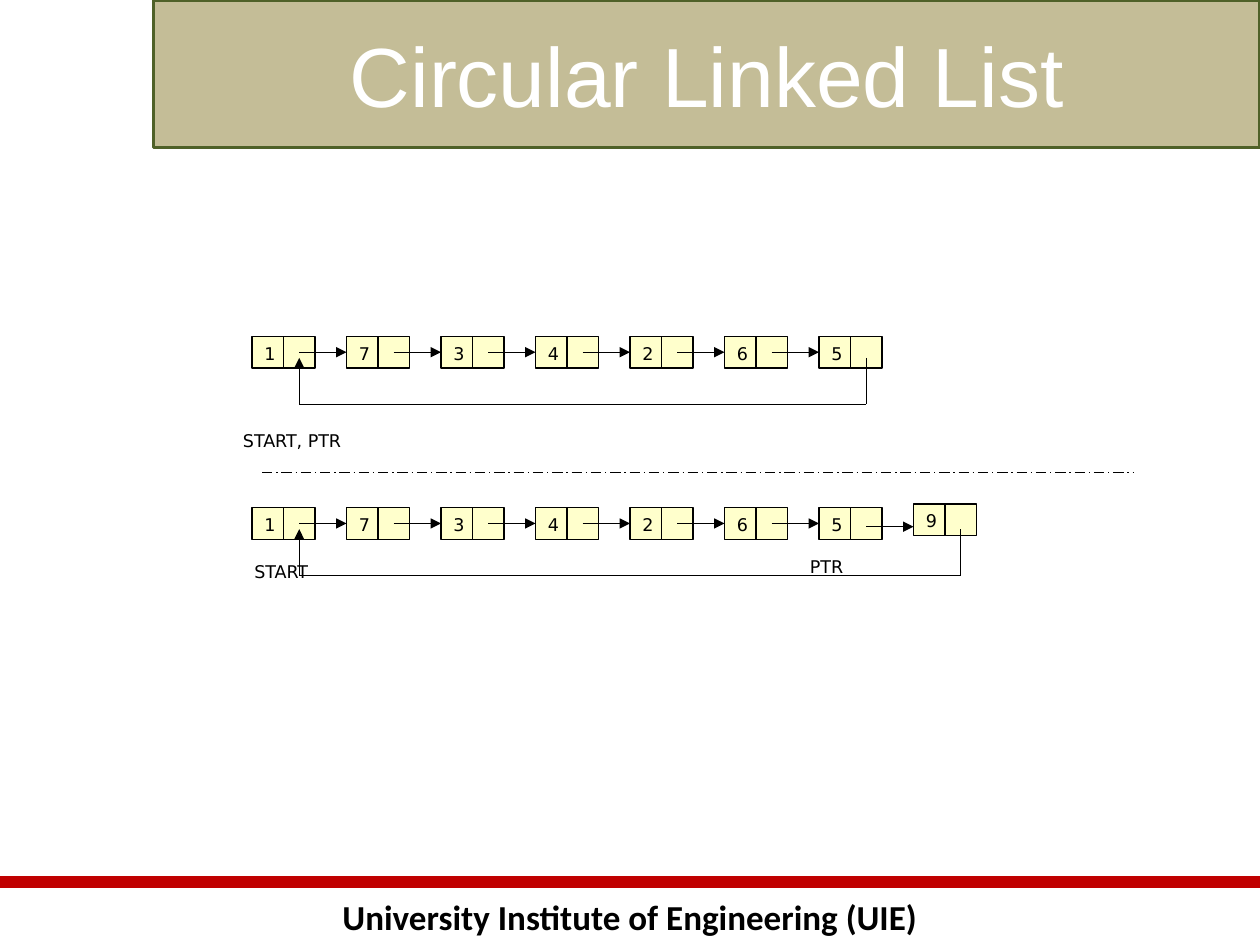
from lxml import etree
from pptx import Presentation
from pptx.dml.color import RGBColor
from pptx.enum.dml import MSO_LINE
from pptx.enum.shapes import MSO_CONNECTOR, MSO_SHAPE
from pptx.enum.text import MSO_ANCHOR, PP_ALIGN
from pptx.oxml.ns import qn
from pptx.util import Inches, Pt

STRAIGHT = MSO_CONNECTOR.STRAIGHT
RECTANGLE, ROUNDED = MSO_SHAPE.RECTANGLE, MSO_SHAPE.ROUNDED_RECTANGLE
TOP, MIDDLE = MSO_ANCHOR.TOP, MSO_ANCHOR.MIDDLE
LEFT, CENTER = PP_ALIGN.LEFT, PP_ALIGN.CENTER
LONG_DASH_DOT = MSO_LINE.LONG_DASH_DOT

BLACK = RGBColor(0x00, 0x00, 0x00)
WHITE = RGBColor(0xFF, 0xFF, 0xFF)
RED = RGBColor(0xC0, 0x00, 0x00)
TAN = RGBColor(0xC4, 0xBD, 0x97)
OLIVE = RGBColor(0x4F, 0x61, 0x28)
CREAM = RGBColor(0xFF, 0xFF, 0xCC)
LABEL_FONT = "DejaVu Sans"

# Content (lengths in inches)
TITLE = "Circular Linked List"
FOOTER = "University Institute of Engineering (UIE)"
NODES = ["1", "7", "3", "4", "2", "6", "5"]
LISTS = [  # top of the row, nodes, inserted nodes
    (2.67, NODES, []),
    (4.03, NODES, ["9"]),
]
LABELS = [  # text, left, top, width, height, size of trailing space
    ("START, PTR", 1.83, 3.25, 1.11, 0.4, 18),
    ("START", 1.92, 4.4, 0.66, 0.27, None),
    ("PTR", 6.33, 4.25, 0.55, 0.4, 18),
]

# Node geometry
CELL = 0.25
FIRST_LEFT = 2
PITCH = 3 * CELL
POINTER_X = 1.5 * CELL  # from node left to the middle of its pointer cell
INSERT_RISE = 0.03      # inserted nodes sit slightly above the row
RETURN_TOP, RETURN_BOTTOM = 0.17, 0.54  # return path, below the row top


def write(shape, text, size, font, color=BLACK, align=LEFT, anchor=TOP, bold=False):
    frame = shape.text_frame
    frame.word_wrap = True
    frame.vertical_anchor = anchor
    paragraph = frame.paragraphs[0]
    paragraph.alignment = align
    paragraph.font.size = Pt(size)
    paragraph.font.name = font
    paragraph.font.color.rgb = color
    paragraph.font.bold = bold
    paragraph.add_run().text = text
    return paragraph


def add_box(shapes, kind, left, top, width, height, fill, line, line_width):
    box = shapes.add_shape(kind, Inches(left), Inches(top), Inches(width), Inches(height))
    box.shadow.inherit = False
    box.fill.solid()
    box.fill.fore_color.rgb = fill
    box.line.color.rgb = line
    box.line.width = Pt(line_width)
    return box


def add_line(shapes, x1, y1, x2, y2, arrow=False, color=BLACK, width=0.75):
    line = shapes.add_connector(STRAIGHT, Inches(x1), Inches(y1), Inches(x2), Inches(y2))
    line.line.color.rgb = color
    line.line.width = Pt(width)
    properties = line._element.spPr
    if arrow:
        etree.SubElement(properties.find(qn("a:ln")), qn("a:tailEnd"), type="triangle")
    etree.SubElement(properties, qn("a:effectLst"))
    return line


def add_node(shapes, value, left, top):
    value_cell, _ = [
        add_box(shapes, RECTANGLE, x, top, CELL, CELL, CREAM, BLACK, 0.75)
        for x in (left, left + CELL)
    ]
    write(value_cell, value, 10, LABEL_FONT)
    return value_cell


def add_list(shapes, top, nodes, inserted):
    for i, value in enumerate(nodes):
        left = FIRST_LEFT + i * PITCH
        value_cell = add_node(shapes, value, left, top)
        if i:
            y = top + CELL / 2
            link = add_line(shapes, left - PITCH + POINTER_X, y, left, y, arrow=True)
            link.end_connect(value_cell, 1)
    for i, value in enumerate(inserted, len(nodes)):
        left = FIRST_LEFT + i * PITCH
        add_node(shapes, value, left, top - INSERT_RISE)
        y = top + 0.15
        add_line(shapes, left - PITCH + POINTER_X, y, left, y, arrow=True)

    # Return path from the last node to the first
    first_x = FIRST_LEFT + POINTER_X
    last_x = first_x + (len(nodes) + len(inserted) - 1) * PITCH
    upper, lower = top + RETURN_TOP, top + RETURN_BOTTOM
    add_line(shapes, last_x, upper, last_x, lower)
    add_line(shapes, last_x, lower, first_x, lower)
    add_line(shapes, first_x, lower, first_x, upper, arrow=True)


def main():
    prs = Presentation()
    prs.slide_width, prs.slide_height = Inches(10), Inches(7.5)
    shapes = prs.slides.add_slide(prs.slide_layouts[6]).shapes

    # Footer
    footer = shapes.add_textbox(Inches(0), Inches(7.06), Inches(10), Inches(0.43))
    write(footer, FOOTER, 20, "Calibri", align=CENTER, bold=True)
    add_line(shapes, 0, 7, 10, 7, color=RED, width=7)

    # Title banner
    banner = add_box(shapes, ROUNDED, 1.22, 0, 8.78, 1.17, TAN, OLIVE, 2)
    banner.adjustments[0] = 0
    write(banner, TITLE, 48, "Arial", WHITE, CENTER, MIDDLE)

    # Lists before and after the insertion, with a divider
    for top, nodes, inserted in LISTS:
        add_list(shapes.add_group_shape().shapes, top, nodes, inserted)
    divider = add_line(shapes, 2.08, 3.75, 9, 3.75)
    divider.line.dash_style = LONG_DASH_DOT

    # Pointer labels
    for text, left, top, width, height, space_size in LABELS:
        label = shapes.add_textbox(Inches(left), Inches(top), Inches(width), Inches(height))
        paragraph = write(label, text, 10, LABEL_FONT, anchor=MIDDLE)
        if space_size:
            space = paragraph.add_run()
            space.text = " "
            space.font.size = Pt(space_size)

    prs.save("out.pptx")


if __name__ == "__main__":
    main()
